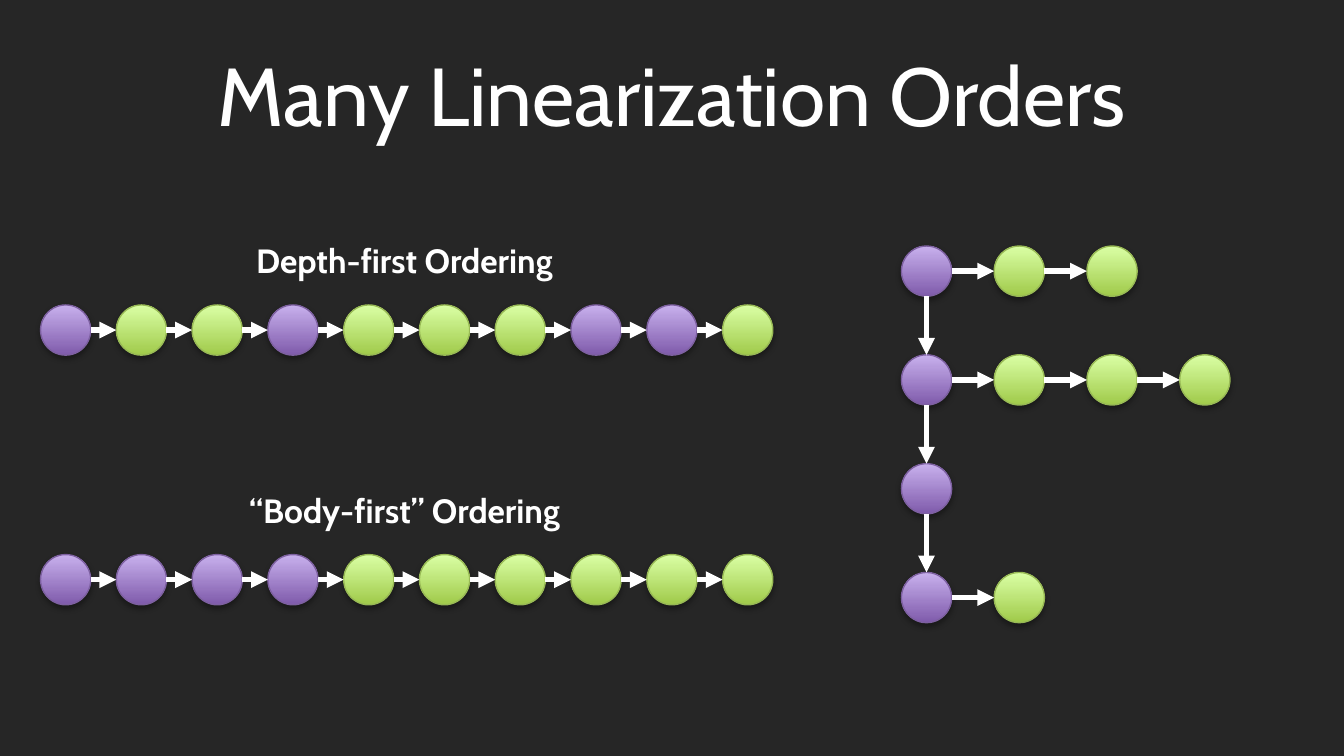
import pptx
import pptx.dml.color
import pptx.enum.shapes
import pptx.enum.text
import pptx.oxml
import pptx.oxml.ns
import pptx.util

Pt = pptx.util.Pt
RGBColor = pptx.dml.color.RGBColor

BACKGROUND = RGBColor(0x26, 0x26, 0x26)
WHITE = RGBColor(0xFF, 0xFF, 0xFF)
# Each node style: bottom colour, top colour, outline
PURPLE = (RGBColor(0x7F, 0x5B, 0xAB), RGBColor(0xC8, 0xB0, 0xED), RGBColor(0x7D, 0x60, 0xA0))
GREEN = (RGBColor(0xA0, 0xCA, 0x4A), RGBColor(0xDA, 0xFF, 0xA5), RGBColor(0x98, 0xB9, 0x55))
NODE_STYLES = {"P": PURPLE, "G": GREEN}

NODE_SIZE = 26.9
NODE_SHADOW = (
    f'<a:outerShdw {pptx.oxml.ns.nsdecls("a")} blurRad="{Pt(3.1)}" dist="{Pt(1.8)}"'
    ' dir="5400000" rotWithShape="0"><a:srgbClr val="000000">'
    '<a:alpha val="35000"/></a:srgbClr></a:outerShdw>'
)
ARROWHEAD = f'<a:tailEnd {pptx.oxml.ns.nsdecls("a")} type="triangle"/>'
NO_EFFECTS = f'<a:effectLst {pptx.oxml.ns.nsdecls("a")}/>'


class LinearizationSlide:
    font_name = "Cabin"

    def __init__(self, presentation):
        self.slide = presentation.slides.add_slide(presentation.slide_layouts[6])
        background = self.slide.background.fill
        background.solid()
        background.fore_color.rgb = BACKGROUND

    def text(self, wording, left, top, width, height, size, bold=False):
        box = self.slide.shapes.add_textbox(Pt(left), Pt(top), Pt(width), Pt(height))
        frame = box.text_frame
        frame.word_wrap = True
        frame.vertical_anchor = pptx.enum.text.MSO_ANCHOR.MIDDLE
        frame.text = wording
        paragraph = frame.paragraphs[0]
        paragraph.alignment = pptx.enum.text.PP_ALIGN.CENTER
        font = paragraph.runs[0].font
        font.name = self.font_name
        font.size = Pt(size)
        font.bold = bold
        font.color.rgb = WHITE

    def node(self, left, top, style):
        bottom_color, top_color, outline = style
        node = self.slide.shapes.add_shape(
            pptx.enum.shapes.MSO_SHAPE.OVAL, Pt(left), Pt(top), Pt(NODE_SIZE), Pt(NODE_SIZE))
        node.fill.gradient()
        node.fill.gradient_angle = 90
        for stop, color, position in zip(
                node.fill.gradient_stops, (bottom_color, top_color), (0, 1)):
            stop.color.rgb = color
            stop.position = position
        node.line.color.rgb = outline
        node.line.width = Pt(0.75)
        node.shadow.inherit = False
        effects = node._element.spPr.find(pptx.oxml.ns.qn("a:effectLst"))
        effects.append(pptx.oxml.parse_xml(NODE_SHADOW))

    def arrow(self, start_x, start_y, end_x, end_y):
        arrow = self.slide.shapes.add_connector(
            pptx.enum.shapes.MSO_CONNECTOR.STRAIGHT,
            Pt(start_x), Pt(start_y), Pt(end_x), Pt(end_y))
        arrow.line.color.rgb = WHITE
        arrow.line.width = Pt(3)
        arrow.line._get_or_add_ln().append(pptx.oxml.parse_xml(ARROWHEAD))
        arrow._element.spPr.append(pptx.oxml.parse_xml(NO_EFFECTS))

    def chain(self, left, top, pitch, kinds):
        """Draw a row of nodes, one per letter, joined by arrows."""
        middle = top + NODE_SIZE / 2
        for index, kind in enumerate(kinds):
            node_left = left + index * pitch
            self.node(node_left, top, NODE_STYLES[kind])
            if index:
                self.arrow(node_left - pitch + NODE_SIZE, middle, node_left, middle)


def main():
    presentation = pptx.Presentation()
    presentation.slide_width = Pt(720)
    presentation.slide_height = Pt(405)
    page = LinearizationSlide(presentation)

    # Title
    page.text("Many Linearization Orders", 36, 16.6, 648, 67.5, 44)

    # Tree: bodies run down, the children of each run to the right
    tree_left, tree_top, level_gap = 482.9, 131.8, 58.3
    spine = tree_left + NODE_SIZE / 2
    for level, kinds in enumerate(("PGG", "PGGG", "P", "PG")):
        level_top = tree_top + level * level_gap
        page.chain(tree_left, level_top, 49.7, kinds)
        if level:
            page.arrow(spine, level_top - level_gap + NODE_SIZE, spine, level_top)

    # The two linear orders
    orders = (
        ("Depth-first Ordering", "PGGPGGGPPG", 124.9),
        ("“Body-first” Ordering", "PPPPGGGGGG", 258.6),
    )
    for caption, kinds, caption_top in orders:
        page.text(caption, 98.6, caption_top, 236.2, 29, 18, bold=True)
        page.chain(21.7, caption_top + 38.5, 40.6, kinds)

    presentation.save("out.pptx")


if __name__ == "__main__":
    main()
